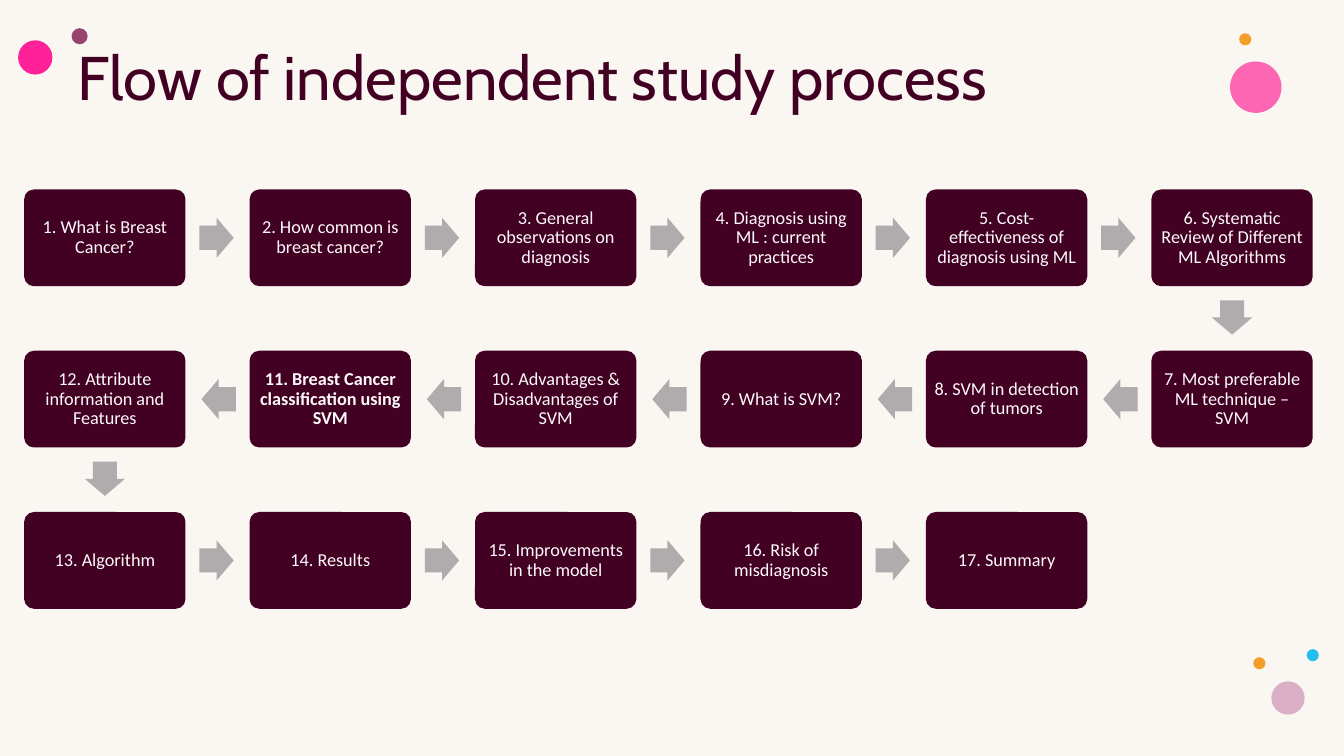
from pptx import Presentation
from pptx import util as u
from pptx.dml.color import RGBColor
from pptx.enum import shapes, text
from pptx.oxml.ns import qn
from lxml import etree

# Content
TITLE = "Flow of independent study process"
STEPS = [
    "1. What is Breast Cancer?",
    "2. How common is breast cancer?",
    "3. General observations on diagnosis",
    "4. Diagnosis using ML : current practices",
    "5. Cost-effectiveness of diagnosis using ML",
    "6. Systematic Review of Different ML Algorithms",
    "7. Most preferable ML technique – SVM",
    "8. SVM in detection of tumors",
    "9. What is SVM?",
    "10. Advantages & Disadvantages of SVM",
    "11. Breast Cancer classification using SVM",
    "12. Attribute information and Features",
    "13. Algorithm",
    "14. Results",
    "15. Improvements in the model",
    "16. Risk of misdiagnosis",
    "17. Summary",
]
BOLD_STEP = 10
# left, top, diameter, colour, opacity in percent
DOTS = [
    (0.71, 0.28, 0.16, "97446E", 100),
    (12.2, 0.61, 0.51, "FF2F9C", 72),
    (12.29, 0.33, 0.12, "F39E29", 100),
    (0.18, 0.4, 0.34, "FF2197", 100),
    (12.96, 6.44, 0.12, "24BEEE", 100),
    (12.61, 6.76, 0.33, "DBAFC5", 100),
    (12.43, 6.52, 0.12, "F39E29", 100),
]


class Theme:
    back = "FAF6F2"
    dark = "420023"
    arrow = "B0ABAC"
    light = "FDFBF9"
    head_font, head_size = "Cabin", 44
    body_font, body_size = "Calibri", 13


# Grid of steps, in inches
COLS = 6
LEFT, TOP = 0.24, 1.88
BOX_W, BOX_H = 1.6, 0.96
STEP_X, STEP_Y = 11.18 / (COLS - 1), 1.6
ARROW_W, ARROW_H = 0.34, 0.4
NUDGE = 0.01

deck = Presentation()
deck.slide_width, deck.slide_height = u.Inches(13.33), u.Inches(7.5)
slide = deck.slides.add_slide(deck.slide_layouts[6])
slide.background.fill.solid()
slide.background.fill.fore_color.rgb = RGBColor.from_string(Theme.back)


def add_form(kind, x, y, w, h, color):
    form = slide.shapes.add_shape(kind, *map(u.Inches, (x, y, w, h)))
    form.shadow.inherit = False
    form.fill.solid()
    form.fill.fore_color.rgb = RGBColor.from_string(color)
    form.line.fill.background()
    return form


def write(frame, words, font, size, color, align, bold=False):
    frame.word_wrap = True
    para = frame.paragraphs[0]
    para.alignment = align
    para.line_spacing = 0.9
    run = para.add_run()
    run.text = words
    run.font.name, run.font.size, run.font.bold = font, u.Pt(size), bold
    run.font.color.rgb = RGBColor.from_string(color)


def center(i):
    """Centre of step i; every second row runs right to left."""
    row, col = divmod(i, COLS)
    if row % 2:
        col = COLS - 1 - col
    return LEFT + col * STEP_X + BOX_W / 2, TOP + row * STEP_Y + BOX_H / 2


# Decorative dots
for x, y, size, color, alpha in DOTS:
    dot = add_form(shapes.MSO_SHAPE.OVAL, x, y, size, size, color)
    if alpha < 100:
        tint = dot._element.spPr.find(qn("a:solidFill"))[0]
        etree.SubElement(tint, qn("a:alpha"), val=str(alpha * 1000))

# Title
head = slide.shapes.add_textbox(*map(u.Inches, (0.67, 0.42, 11.78, 0.9)))
write(head.text_frame, TITLE, Theme.head_font, Theme.head_size, Theme.dark,
      text.PP_ALIGN.LEFT)

# Steps
for i, words in enumerate(STEPS):
    x, y = center(i)
    box = add_form(shapes.MSO_SHAPE.ROUNDED_RECTANGLE, x - BOX_W / 2,
                   y - BOX_H / 2, BOX_W, BOX_H, Theme.dark)
    box.adjustments[0] = 0.1
    frame = box.text_frame
    frame.vertical_anchor = text.MSO_ANCHOR.MIDDLE
    frame.margin_left = frame.margin_right = u.Inches(0.05)
    frame.margin_top = frame.margin_bottom = u.Inches(0.05)
    write(frame, words, Theme.body_font, Theme.body_size, Theme.light,
          text.PP_ALIGN.CENTER, i == BOLD_STEP)

# Arrows midway between neighbouring steps, nudged back to the earlier one
for i in range(len(STEPS) - 1):
    (x1, y1), (x2, y2) = center(i), center(i + 1)
    if y2 > y1:
        turn, dx, dy = 90, 0, 1
    elif x2 > x1:
        turn, dx, dy = 0, 1, 0
    else:
        turn, dx, dy = 180, -1, 0
    mid_x = (x1 + x2) / 2 - NUDGE * dx
    mid_y = (y1 + y2) / 2 - NUDGE * dy
    arrow = add_form(shapes.MSO_SHAPE.RIGHT_ARROW, mid_x - ARROW_W / 2,
                     mid_y - ARROW_H / 2, ARROW_W, ARROW_H, Theme.arrow)
    arrow.adjustments[0], arrow.adjustments[1] = 0.6, 0.5
    arrow.rotation = turn

deck.save("out.pptx")
